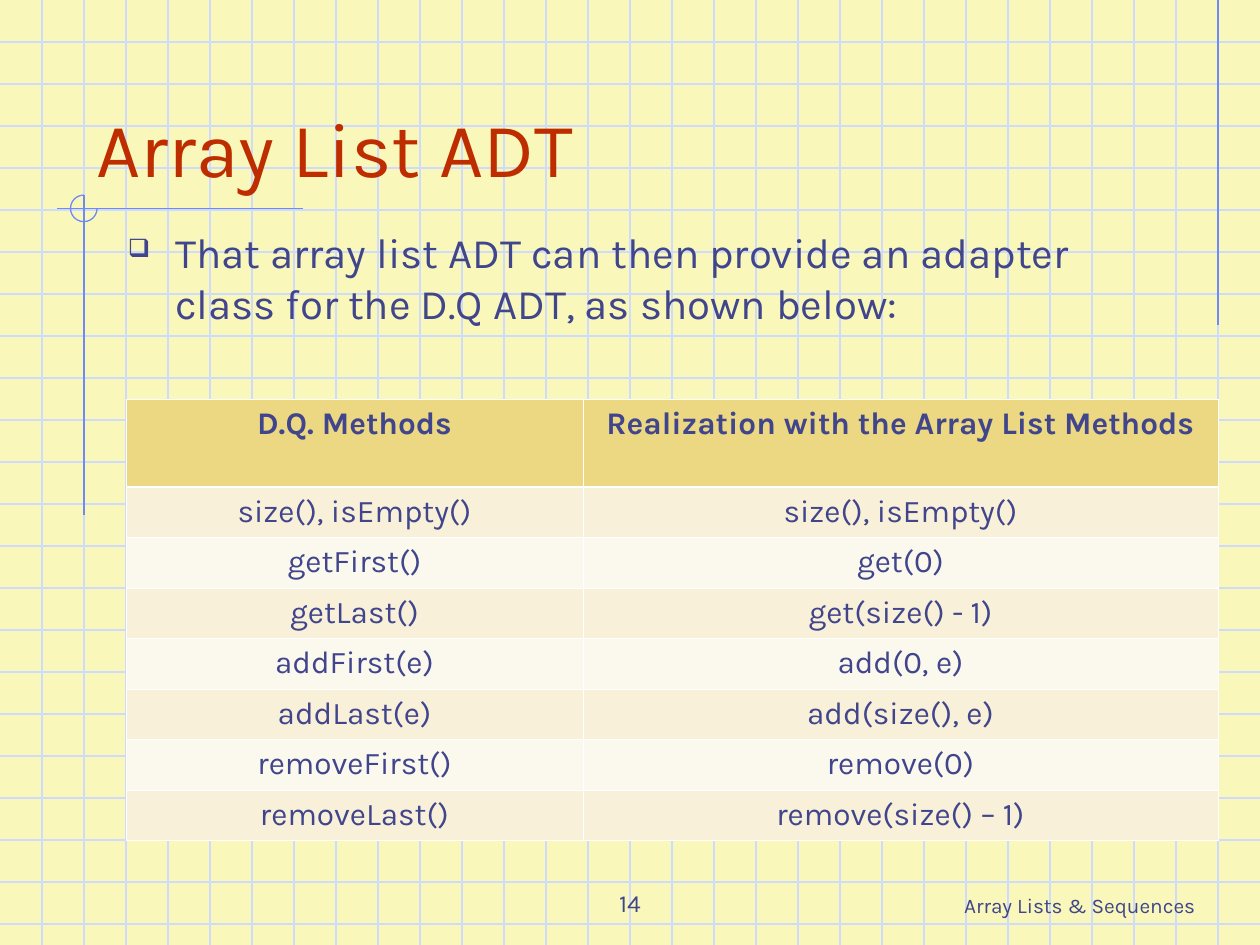
from dataclasses import dataclass

from lxml import etree
from pptx import Presentation
from pptx import util as u
from pptx.dml.color import RGBColor
from pptx.enum import shapes, text
from pptx.oxml import ns

Pt = u.Pt
WIDTH, HEIGHT, STEP = 720, 540, 24
FONT = "Karla"
COLORS = {
    "paper": "F9F8BA", "grid": "CFDBFD", "accent": "6F89F7",
    "title": "BE2D00", "text": "40458C", "header": "ECD882",
    "odd": "F8F0D8", "even": "FBF8ED", "border": "FFFFFF",
}


@dataclass
class Line:
    x1: float
    y1: float
    x2: float
    y2: float
    color: str


@dataclass
class Label:
    words: str
    box: tuple
    size: float
    color: str = "text"
    align: text.PP_ALIGN = text.PP_ALIGN.LEFT
    anchor: text.MSO_ANCHOR = text.MSO_ANCHOR.BOTTOM
    bullet: str = ""


GRID = [Line(0, y, WIDTH, y, "grid") for y in range(STEP, HEIGHT, STEP)]
GRID += [Line(x, 0, x, HEIGHT, "grid") for x in range(STEP, WIDTH, STEP)]
ACCENTS = [
    Line(696, 0, 696, 186, "accent"),
    Line(173, 119.2, 32.5, 119.2, "accent"),
    Line(48, 111.5, 48, 294.5, "accent"),
]
LABELS = [
    Label("Array Lists & Sequences", (540, 492, 150, 36), 11.9,
          align=text.PP_ALIGN.RIGHT),
    Label("14", (246, 492, 228, 36), 14, align=text.PP_ALIGN.CENTER),
    Label("Array List ADT", (48, 24, 612, 90), 44, "title"),
    Label("That array list ADT can then provide an adapter class for the "
          "D.Q ADT, as shown below:", (66, 126, 612, 378), 24,
          anchor=text.MSO_ANCHOR.TOP, bullet="❑"),
]
ROWS = [
    ("D.Q. Methods", "Realization with the Array List Methods"),
    ("size(), isEmpty()", "size(), isEmpty()"),
    ("getFirst()", "get(0)"),
    ("getLast()", "get(size() - 1)"),
    ("addFirst(e)", "add(0, e)"),
    ("addLast(e)", "add(size(), e)"),
    ("removeFirst()", "remove(0)"),
    ("removeLast()", "remove(size() – 1)"),
]
COLUMNS = (261.2, 362.8)
HEADER_HEIGHT, ROW_HEIGHT = 50.4, 28.8


def rgb(name: str) -> RGBColor:
    return RGBColor.from_string(COLORS[name])


def child(parent, tag: str, **attrs):
    node = etree.SubElement(parent, ns.qn(tag))
    for key, value in attrs.items():
        node.set(key, str(value))
    return node


def set_font(font, size: float, color: str = "text", bold: bool = False) -> None:
    for key, value in {"name": FONT, "size": Pt(size), "bold": bold}.items():
        setattr(font, key, value)
    font.color.rgb = rgb(color)


def draw_line(s, line: Line) -> None:
    cx = s.shapes.add_connector(
        shapes.MSO_CONNECTOR.STRAIGHT,
        *map(Pt, (line.x1, line.y1, line.x2, line.y2)))
    cx.line.color.rgb = rgb(line.color)
    cx.line.width = Pt(0.75)
    child(cx._element.spPr, "a:effectLst")


def draw_arc(s) -> None:
    """Three-quarter circle around the crossing of the title rules."""
    sp = s.shapes.add_shape(shapes.MSO_SHAPE.ARC,
                            *map(Pt, (40.3, 111.5, 15.2, 15.2)))
    # Angles are stored in 1/60000 degree, scaled here by 100000.
    sp.adjustments[0], sp.adjustments[1] = 0, 270 * 0.6
    sp.shadow.inherit = False
    sp.fill.background()
    sp.line.color.rgb = rgb("accent")
    sp.line.width = Pt(0.75)


def add_bullet(p, char: str, indent: float) -> None:
    pPr = p._p.get_or_add_pPr()
    pPr.set("marL", str(Pt(indent)))
    pPr.set("indent", str(-Pt(indent)))
    child(child(pPr, "a:buClr"), "a:srgbClr", val=COLORS["text"])
    child(pPr, "a:buSzPct", val=60000)
    child(pPr, "a:buChar", char=char)


def draw_label(s, label: Label) -> None:
    tf = s.shapes.add_textbox(*map(Pt, label.box)).text_frame
    for key, value in {"word_wrap": True, "vertical_anchor": label.anchor}.items():
        setattr(tf, key, value)
    p = tf.paragraphs[0]
    p.alignment = label.align
    if label.bullet:
        add_bullet(p, label.bullet, 27)
    r = p.add_run()
    r.text = label.words
    set_font(r.font, label.size, label.color)


def set_borders(cell, row: int) -> None:
    """White borders, heavier between the header and the first row."""
    heavy = {0: "B", 1: "T"}.get(row)
    tcPr = cell._tc.get_or_add_tcPr()
    for side in "LRTB":
        ln = child(tcPr, f"a:ln{side}", w=Pt(1.47 if side == heavy else 0.45))
        child(child(ln, "a:solidFill"), "a:srgbClr", val=COLORS["border"])


def draw_table(s) -> None:
    height = HEADER_HEIGHT + ROW_HEIGHT * (len(ROWS) - 1)
    table = s.shapes.add_table(len(ROWS), len(COLUMNS), Pt(72), Pt(228),
                               Pt(sum(COLUMNS)), Pt(height)).table
    for column, width in zip(table.columns, COLUMNS):
        column.width = Pt(width)
    for i, words in enumerate(ROWS):
        table.rows[i].height = Pt(ROW_HEIGHT if i else HEADER_HEIGHT)
        fill = ("odd" if i % 2 else "even") if i else "header"
        for j, word in enumerate(words):
            cell = table.cell(i, j)
            set_borders(cell, i)
            cell.fill.solid()
            cell.fill.fore_color.rgb = rgb(fill)
            p = cell.text_frame.paragraphs[0]
            p.alignment = text.PP_ALIGN.CENTER
            r = p.add_run()
            r.text = word
            set_font(r.font, 18, bold=i == 0)


def main() -> None:
    prs = Presentation()
    prs.slide_width, prs.slide_height = Pt(WIDTH), Pt(HEIGHT)
    s = prs.slides.add_slide(prs.slide_layouts[6])
    s.background.fill.solid()
    s.background.fill.fore_color.rgb = rgb("paper")
    for line in GRID + ACCENTS:
        draw_line(s, line)
    draw_arc(s)
    for label in LABELS:
        draw_label(s, label)
    draw_table(s)
    prs.save("out.pptx")


if __name__ == "__main__":
    main()
